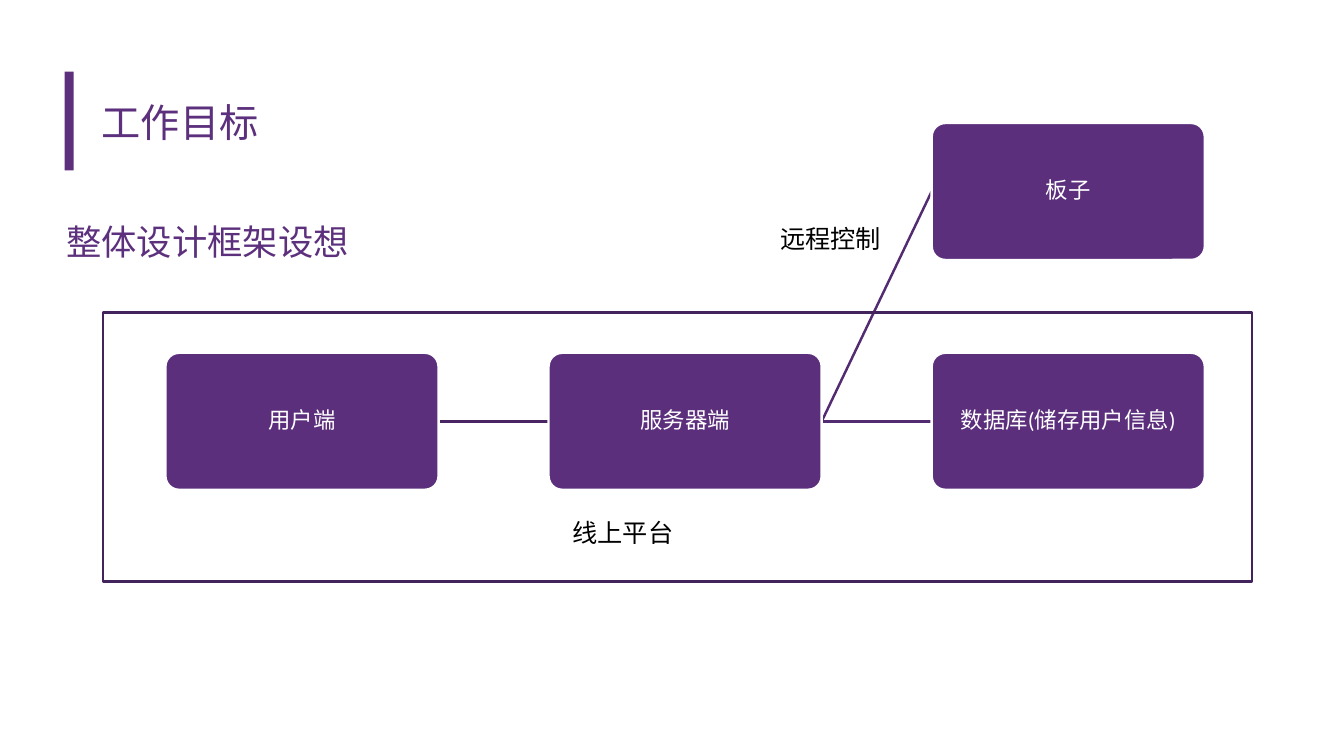
"""Build the slide that shows the overall design framework."""
from lxml import etree
from pptx import Presentation
from pptx.dml.color import RGBColor
from pptx.enum.shapes import MSO_CONNECTOR, MSO_SHAPE
from pptx.enum.text import MSO_ANCHOR, MSO_AUTO_SIZE, PP_ALIGN
from pptx.oxml.ns import qn
from pptx.util import Inches, Pt

LEFT, CENTER = PP_ALIGN.LEFT, PP_ALIGN.CENTER
TOP, MIDDLE = MSO_ANCHOR.TOP, MSO_ANCHOR.MIDDLE
RECTANGLE, ROUNDED = MSO_SHAPE.RECTANGLE, MSO_SHAPE.ROUNDED_RECTANGLE
STRAIGHT, NO_FIT = MSO_CONNECTOR.STRAIGHT, MSO_AUTO_SIZE.NONE
PURPLE, NODE_FILL, WHITE, BLACK = "5C307D", "5B2F7C", "FFFFFF", "000000"
NODE_WIDTH, NODE_HEIGHT = 2.71, 1.36


def write(shape, text, size, color, align=LEFT, anchor=MIDDLE, wrap=True, spacing=1.0):
    frame = shape.text_frame
    frame.auto_size = NO_FIT
    frame.word_wrap = wrap
    frame.vertical_anchor = anchor
    para = frame.paragraphs[0]
    para.alignment = align
    para.line_spacing = spacing
    span = para.add_run()
    span.text = text
    span.font.name = "Calibri"
    span.font.size = Pt(size)
    span.font.color.rgb = RGBColor.from_string(color)


def add_block(kind, left, top, width, height, fill=None, line=None):
    block = page.shapes.add_shape(kind, Inches(left), Inches(top), Inches(width), Inches(height))
    block.shadow.inherit = False
    if fill:
        block.fill.solid()
        block.fill.fore_color.rgb = RGBColor.from_string(fill)
    else:
        block.fill.background()
    if line:
        block.line.color.rgb = RGBColor.from_string(line)
        block.line.width = Pt(1.75)
    else:
        block.line.fill.background()
    return block


deck = Presentation()
deck.slide_width, deck.slide_height = Inches(13.33), Inches(7.5)
page = deck.slides.add_slide(deck.slide_layouts[5])

add_block(RECTANGLE, 0.64, 0.71, 0.09, 0.98, fill=PURPLE)
title = page.shapes.title
title.left, title.top = Inches(0.91), Inches(0.65)
title.width, title.height = Inches(11.51), Inches(1.11)
write(title, "工作目标", 28, PURPLE)

nodes = {}
for name, left, top in [
    ("用户端", 1.64, 3.5),
    ("服务器端", 5.44, 3.5),
    ("板子", 9.24, 1.22),
    ("数据库(储存用户信息)", 9.24, 3.5),
]:
    node = add_block(ROUNDED, left, top, NODE_WIDTH, NODE_HEIGHT, fill=NODE_FILL, line=WHITE)
    node.adjustments[0] = 0.1
    frame = node.text_frame
    frame.margin_left = frame.margin_right = Inches(0.05)
    frame.margin_top = frame.margin_bottom = Inches(0.05)
    write(node, name, 16, WHITE, align=CENTER, spacing=0.9)
    nodes[name] = node

for start, end, color in [
    ("用户端", "服务器端", "492663"),
    ("服务器端", "板子", "532B71"),
    ("服务器端", "数据库(储存用户信息)", "532B71"),
]:
    link = page.shapes.add_connector(STRAIGHT, 0, 0, 0, 0)
    link.begin_connect(nodes[start], 3)
    link.end_connect(nodes[end], 1)
    link.line.color.rgb = RGBColor.from_string(color)
    link.line.width = Pt(1.75)
    etree.SubElement(link.element.spPr, qn("a:effectLst"))
    page.shapes[0].element.addprevious(link.element)

add_block(RECTANGLE, 1.02, 3.1, 11.4, 2.67, line="43235C")

for text, left, top, width, height, size, color, anchor, wrap in [
    ("线上平台", 5.58, 5.08, 1.21, 0.4, 18, BLACK, TOP, False),
    ("远程控制", 7.64, 2.17, 1.21, 0.4, 18, BLACK, TOP, False),
    ("整体设计框架设想", 0.56, 1.84, 11.51, 1.11, 25.2, PURPLE, MIDDLE, True),
]:
    label = page.shapes.add_textbox(Inches(left), Inches(top), Inches(width), Inches(height))
    write(label, text, size, color, anchor=anchor, wrap=wrap)

deck.save("out.pptx")
